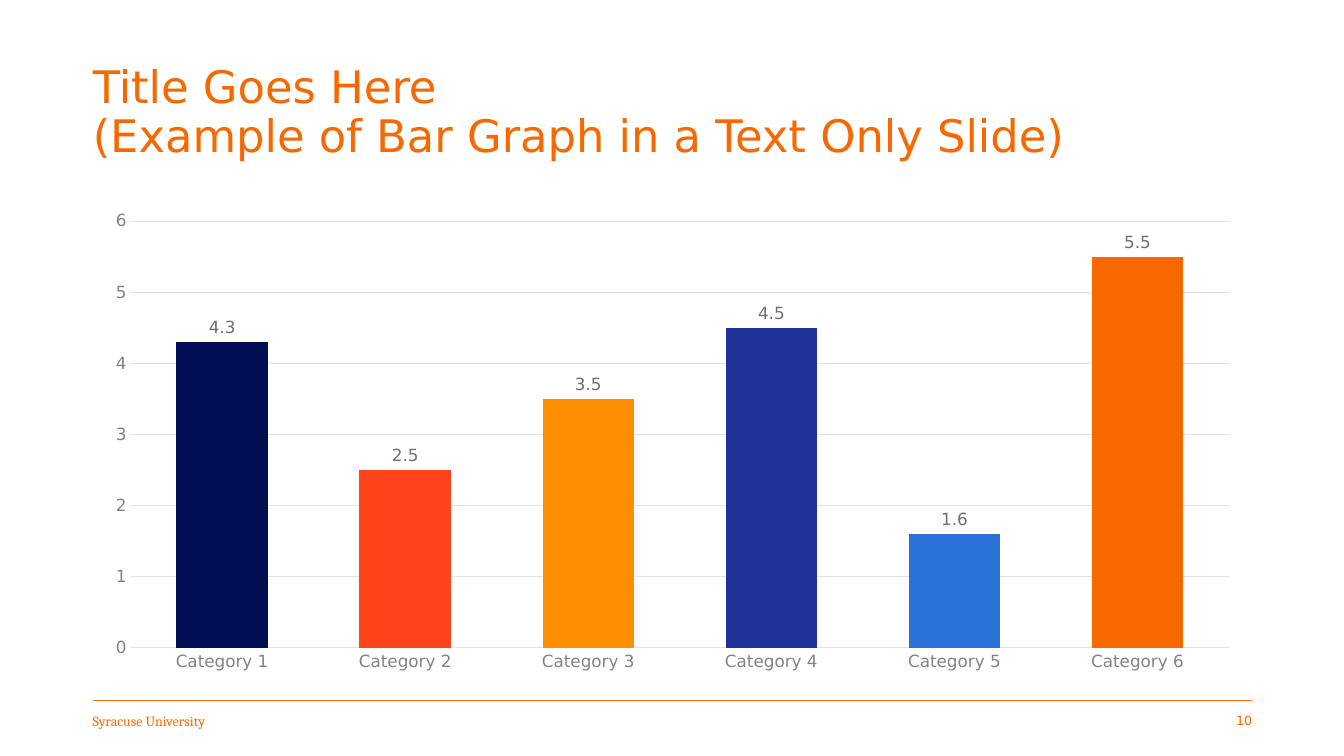
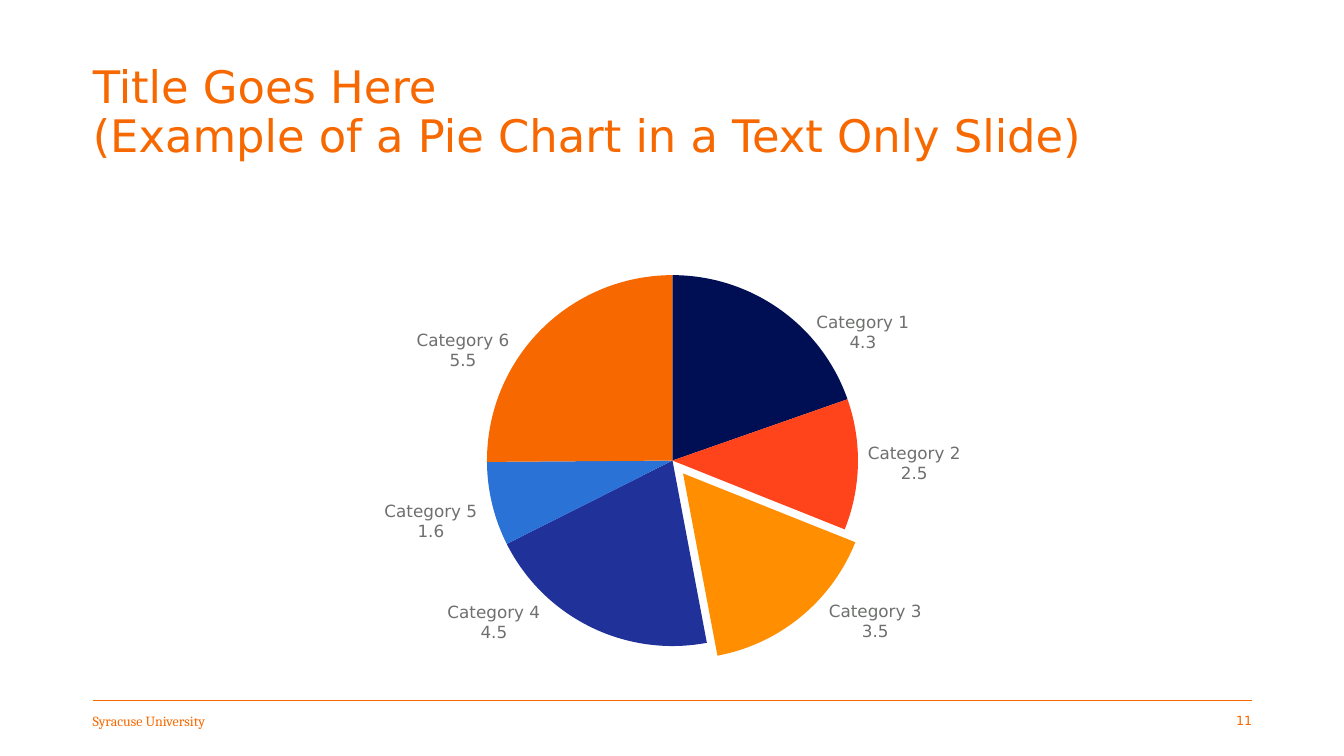
import pptx
import pptx.chart.data
import pptx.dml.color
import pptx.enum.chart
import pptx.enum.shapes
import pptx.enum.text
import pptx.oxml
import pptx.oxml.ns
import pptx.util

Inches, Pt = pptx.util.Inches, pptx.util.Pt
PP_ALIGN = pptx.enum.text.PP_ALIGN
XL = pptx.enum.chart

COLORS = {"accent": "F76900", "text": "3F403F", "label": "6E706E",
          "axis": "828482", "grid": "E2E3E2"}
POINT_COLORS = ["000E54", "FF431B", "FF8E00", "203299", "2B72D7", "F76900"]
SANS, SERIF = "DejaVu Sans", "Cambria"

LEFT, WIDTH, FOOTER_TOP = 0.92, 11.5, 6.95
FOOTER_WIDTH, FOOTER_HEIGHT = 2.1, 0.4
CHART_TOP, CHART_HEIGHT = 2, 4.76
VALUES = [4.3, 2.5, 3.5, 4.5, 1.6, 5.5]
CATEGORIES = [f"Category {i}" for i in range(1, len(VALUES) + 1)]
# Shift of each pie label from its outside-end place, in inches
PIE_LABEL_SHIFTS = [(0.33, 0.48), (0.04, -0.01), (0.24, -0.19),
                    (-0.47, -0.29), (-0.09, -0.04), (-0.27, 0.45)]


def rgb(name):
    return pptx.dml.color.RGBColor.from_string(COLORS.get(name, name))


def set_font(font, size, color, name=SANS):
    font.size, font.name = Pt(size), name
    font.color.rgb = rgb(color)


def set_line(line, color, width):
    line.color.rgb = rgb(color)
    line.width = Pt(width)


def c_element(tag, attrs="", content=""):
    return pptx.oxml.parse_xml(
        f'<c:{tag} {pptx.oxml.ns.nsdecls("c")} {attrs}>{content}</c:{tag}>')


def manual_layout(**settings):
    content = "".join(f'<c:{k} val="{v}"/>' for k, v in settings.items())
    return c_element("layout", content=f"<c:manualLayout>{content}</c:manualLayout>")


def set_frame(tf, wrap):
    tf.margin_left = tf.margin_right = 0
    tf.margin_top = tf.margin_bottom = Inches(0.05)
    tf.vertical_anchor = pptx.enum.text.MSO_ANCHOR.MIDDLE
    tf.auto_size = pptx.enum.text.MSO_AUTO_SIZE.NONE
    tf.word_wrap = wrap


def add_footer_text(slide, left, text, size, font, align):
    sp = slide.shapes.add_textbox(Inches(left), Inches(FOOTER_TOP),
                                  Inches(FOOTER_WIDTH), Inches(FOOTER_HEIGHT))
    set_frame(sp.text_frame, False)
    p = sp.text_frame.paragraphs[0]
    p.text, p.alignment = text, align
    set_font(p.font, size, "accent", font)


def add_footer(slide, number):
    right, y = LEFT + WIDTH, Inches(FOOTER_TOP)
    rule = slide.shapes.add_connector(pptx.enum.shapes.MSO_CONNECTOR.STRAIGHT,
                                      Inches(LEFT), y, Inches(right), y)
    set_line(rule.line, "accent", 0.5)
    rule.element.spPr.append(pptx.oxml.parse_xml(
        f'<a:effectLst {pptx.oxml.ns.nsdecls("a")}/>'))
    add_footer_text(slide, LEFT, "Syracuse University", 10, SERIF, PP_ALIGN.LEFT)
    add_footer_text(slide, right - FOOTER_WIDTH, str(number), 9, SANS, PP_ALIGN.RIGHT)


def add_slide(prs, title, number):
    slide = prs.slides.add_slide(prs.slide_layouts.get_by_name("Title Only"))
    sp = slide.shapes.title
    sp.left, sp.top = Inches(LEFT), Inches(0.4)
    sp.width, sp.height = Inches(WIDTH), Inches(1.45)
    set_frame(sp.text_frame, True)
    p = sp.text_frame.paragraphs[0]
    p.text, p.alignment, p.line_spacing = title, PP_ALIGN.LEFT, 0.9
    set_font(p.font, 32, "accent")
    add_footer(slide, number)
    return slide


def add_chart(slide, kind):
    """Add a one-series chart with a colour for each point and outside labels."""
    data = pptx.chart.data.CategoryChartData()
    data.categories = CATEGORIES
    data.add_series("Series 1", VALUES)
    chart = slide.shapes.add_chart(kind, Inches(LEFT), Inches(CHART_TOP),
                                   Inches(WIDTH), Inches(CHART_HEIGHT), data).chart
    chart.has_title = chart.has_legend = False
    set_font(chart.font, 10, "text")
    plot = chart.plots[0]
    plot.vary_by_categories = False
    series = plot.series[0]
    for i, color in enumerate(POINT_COLORS):
        fill = series.points[i].format.fill
        fill.solid()
        fill.fore_color.rgb = rgb(color)
    labels = series.data_labels
    labels.show_value = True
    labels.position = XL.XL_LABEL_POSITION.OUTSIDE_END
    set_font(labels.font, 12, "label")
    return chart


def add_bar_chart(slide):
    chart = add_chart(slide, XL.XL_CHART_TYPE.COLUMN_CLUSTERED)
    chart.plots[0].gap_width = 100
    for axis in (chart.category_axis, chart.value_axis):
        axis.major_tick_mark = axis.minor_tick_mark = XL.XL_TICK_MARK.NONE
        set_font(axis.tick_labels.font, 12, "axis")
    set_line(chart.category_axis.format.line, "grid", 0.75)
    value_axis = chart.value_axis
    value_axis.minimum_scale, value_axis.maximum_scale = 0, 6
    value_axis.major_unit = 1
    value_axis.format.line.fill.background()
    set_line(value_axis.major_gridlines.format.line, "grid", 0.75)


def place_pie_labels(chart):
    """Shift each label and show category and value on separate lines."""
    root, series = chart.element, chart.plots[0].series[0]
    series.data_labels.show_category_name = True
    for i, (dx, dy) in enumerate(PIE_LABEL_SHIFTS):
        label = series.points[i].data_label
        set_font(label.font, 12, "label")
        label.position = XL.XL_LABEL_POSITION.OUTSIDE_END
        root.xpath(f".//c:dLbl/c:idx[@val='{i}']")[0].addnext(
            manual_layout(x=dx / WIDTH, y=dy / CHART_HEIGHT))
    for flag in root.xpath(".//c:dLbl/c:showCatName"):
        flag.set("val", "1")
    for flag in root.xpath(".//c:ser//c:showLeaderLines"):
        flag.set("val", "0")
    for flag in root.xpath(".//c:ser//c:showBubbleSize"):
        flag.addnext(c_element("separator", content="\n"))


def add_pie_chart(slide, exploded, explosion):
    chart = add_chart(slide, XL.XL_CHART_TYPE.PIE)
    place_pie_labels(chart)
    root = chart.element
    # Slice pulled out from the centre
    root.xpath(f".//c:dPt[c:idx/@val='{exploded}']/c:spPr")[0].addprevious(
        c_element("explosion", f'val="{explosion}"'))
    # Fixed inner plot area
    plot_area = root.xpath(".//c:plotArea")[0]
    for layout in plot_area.xpath("./c:layout"):
        plot_area.remove(layout)
    plot_area.insert(0, manual_layout(layoutTarget="inner", xMode="edge", yMode="edge",
                                      x=0.34, y=0.15, w=0.32, h=0.78))


def main():
    prs = pptx.Presentation()
    prs.slide_width, prs.slide_height = Inches(13.33), Inches(7.5)

    # Bar graph
    add_bar_chart(add_slide(
        prs, "Title Goes Here \v(Example of Bar Graph in a Text Only Slide)", 10))

    # Pie chart
    add_pie_chart(add_slide(
        prs, "Title Goes Here \v(Example of a Pie Chart in a Text Only Slide)", 11),
        exploded=2, explosion=9)

    prs.save("out.pptx")


if __name__ == "__main__":
    main()
